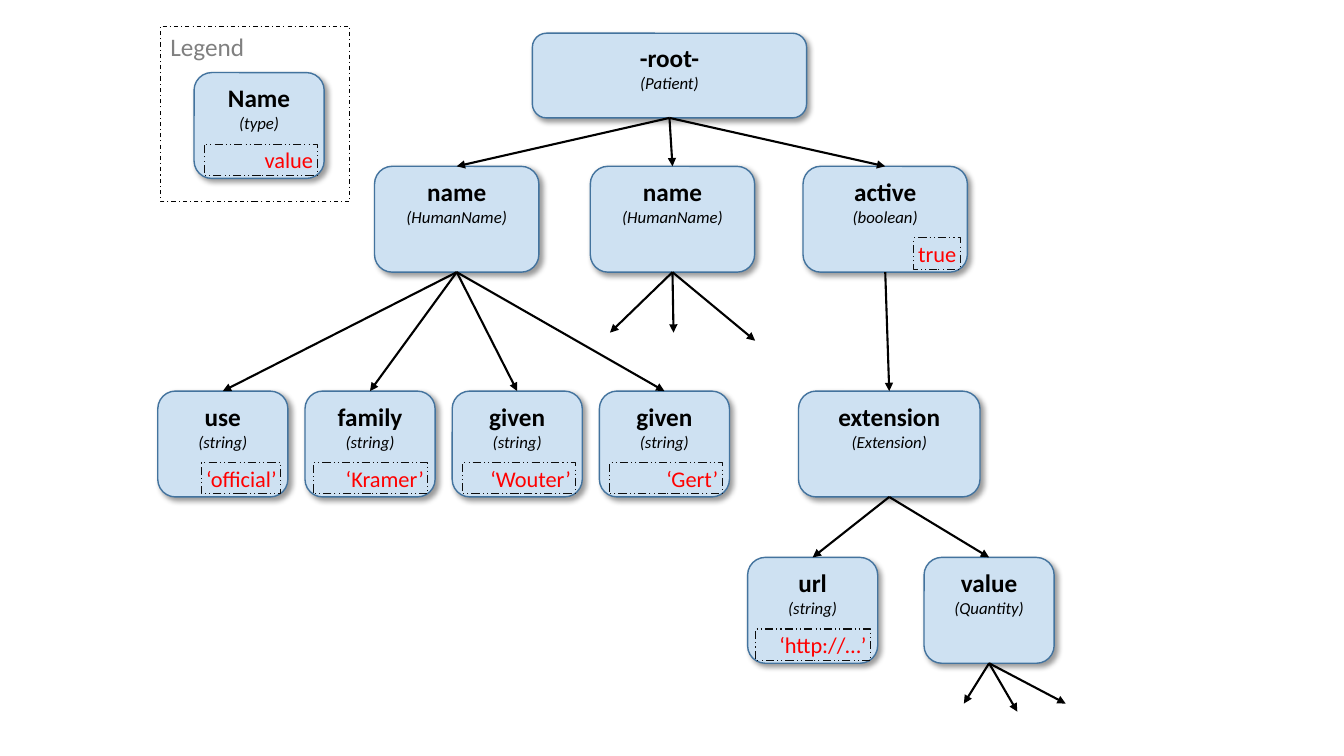
from lxml.etree import SubElement
from pptx import Presentation
from pptx.dml.color import RGBColor
from pptx.enum.dml import MSO_LINE
from pptx.enum.shapes import MSO_CONNECTOR, MSO_SHAPE
from pptx.enum.text import MSO_ANCHOR, PP_ALIGN
from pptx.oxml.ns import qn
from pptx.util import Inches, Pt

BLACK = RGBColor(0x00, 0x00, 0x00)
INK = RGBColor(0x0D, 0x0D, 0x0D)
GRAY = RGBColor(0x80, 0x80, 0x80)
RED = RGBColor(0xFF, 0x00, 0x00)
PALE = RGBColor(0xCE, 0xE1, 0xF2)
BLUE = RGBColor(0x43, 0x73, 0x9E)

TITLE = {"size": Pt(18), "bold": True, "color": BLACK}
TYPE = {"size": Pt(12), "italic": True, "color": BLACK}
VALUE = {"size": Pt(16), "color": RED}
LABEL = {"size": Pt(18), "color": GRAY}

# Tree rows: top and height
ROWS = [(0.33, 0.84), (1.65, 1.05), (3.88, 1.05), (5.53, 1.05)]
LEAF, PITCH, SLIM, MID = 2.21, 1.46, 1.29, 1.63

# key: name, type, row, centre, width, value, value width
NODES = {
    "root": ("-root-", "(Patient)", 0, 6.64, 2.72, "", 0),
    "name1": ("name", "(HumanName)", 1, 4.53, MID, "", 0),
    "name2": ("name", "(HumanName)", 1, 6.67, MID, "", 0),
    "active": ("active", "(boolean)", 1, 8.78, MID, "true", 0.46),
    "use": ("use", "(string)", 2, LEAF, SLIM, "‘official’", 0.79),
    "family": ("family", "(string)", 2, LEAF + PITCH, SLIM, "‘Kramer’", 1.14),
    "given1": ("given", "(string)", 2, LEAF + 2 * PITCH, SLIM, "‘Wouter’", 1.12),
    "given2": ("given", "(string)", 2, LEAF + 3 * PITCH, SLIM, "‘Gert’", 1.12),
    "ext": ("extension", "(Extension)", 2, 8.82, 1.8, "", 0),
    "url": ("url", "(string)", 3, 8.06, SLIM, "‘http://…’", 1.14),
    "value": ("value", "(Quantity)", 3, 9.81, SLIM, "", 0),
}
LINKS = {
    "root": ["name1", "name2", "active"],
    "name1": ["use", "family", "given1", "given2"],
    "active": ["ext"],
    "ext": ["url", "value"],
}
# Arrow tips of branches left open
OPEN = {
    "name2": [(6.05, 3.3), (6.68, 3.3), (7.49, 3.38)],
    "value": [(9.56, 6.98), (10.09, 7.06), (10.57, 6.98)],
}

deck = Presentation()
deck.slide_width, deck.slide_height = Inches(13.33), Inches(7.5)
slide = deck.slides.add_slide(deck.slide_layouts[6])
shapes = slide.shapes


def write(para, text, form):
    """Add a run with the given font values."""
    run = para.add_run()
    run.text = text
    run.font.name = "Calibri"
    for key, val in form.items():
        if key == "color":
            run.font.color.rgb = val
        else:
            setattr(run.font, key, val)


def block(kind, box, fill, line, width, dash=None):
    """Draw a shape and return it with its first paragraph."""
    shape = shapes.add_shape(kind, *map(Inches, box))
    shape.shadow.inherit = False
    if fill is None:
        shape.fill.background()
    else:
        shape.fill.solid()
        shape.fill.fore_color.rgb = fill
    shape.line.color.rgb = line
    shape.line.width = Pt(width)
    if dash:
        shape.line.dash_style = dash
    shape.text_frame.vertical_anchor = MSO_ANCHOR.TOP
    return shape, shape.text_frame.paragraphs[0]


def shade(shape):
    """Give a shape a soft shadow to the lower right."""
    fx = shape._element.spPr.find(qn("a:effectLst"))
    outer = SubElement(fx, qn("a:outerShdw"), blurRad=str(Pt(4)),
                       dist=str(Pt(3)), dir="2700000", algn="tl",
                       rotWithShape="0")
    tint = SubElement(outer, qn("a:srgbClr"), val="000000")
    SubElement(tint, qn("a:alpha"), val="40000")


def chip(text, right, low, width):
    """Draw a dashed value box by its lower right corner."""
    box = (right - width, low - 0.31, width, 0.31)
    shape, para = block(MSO_SHAPE.RECTANGLE, box, None, INK, 0.75,
                        MSO_LINE.DASH_DOT_DOT)
    frame = shape.text_frame
    sides = {"margin_left": 0.04, "margin_right": 0.04,
             "margin_top": 0.02, "margin_bottom": 0.02}
    for key, val in sides.items():
        setattr(frame, key, Inches(val))
    frame.word_wrap = width > 0.5
    para.alignment = PP_ALIGN.RIGHT
    write(para, text, VALUE)


def node(name, kind, top, high, mid, width, value, span):
    """Draw a node with its name, type and optional value."""
    left = mid - width / 2
    shape, para = block(MSO_SHAPE.ROUNDED_RECTANGLE,
                        (left, top, width, high), PALE, BLUE, 1)
    shade(shape)
    para.alignment = PP_ALIGN.CENTER
    write(para, name, TITLE)
    para.add_line_break()
    write(para, kind, TYPE)
    if value:
        chip(value, left + width - 0.07, top + high - 0.03, span)
    return shape


def arrow(start, end=None, tip=(0, 0)):
    """Join a node's foot to another node's head or to a free tip."""
    x, y = map(Inches, tip)
    line = shapes.add_connector(MSO_CONNECTOR.STRAIGHT, x, y, x, y)
    line.begin_connect(start, 2)
    if end is not None:
        line.end_connect(end, 0)
    line.line.color.rgb = BLACK
    line.line.width = Pt(1.5)
    props = line._element.spPr
    SubElement(props.find(qn("a:ln")), qn("a:tailEnd"), type="triangle")
    SubElement(props, qn("a:effectLst"))


made = {}
for key, (name, kind, row, *rest) in NODES.items():
    made[key] = node(name, kind, *ROWS[row], *rest)
for key, kids in LINKS.items():
    for kid in kids:
        arrow(made[key], made[kid])
for key, tips in OPEN.items():
    for tip in tips:
        arrow(made[key], tip=tip)

node("Name", "(type)", 0.72, 1.05, 2.57, SLIM, "value", 1.12)
frame, para = block(MSO_SHAPE.RECTANGLE, (1.59, 0.26, 1.88, 1.74), None,
                    BLACK, 0.75, MSO_LINE.DASH_DOT)
para.alignment = PP_ALIGN.LEFT
write(para, "Legend", LABEL)

deck.save("out.pptx")
